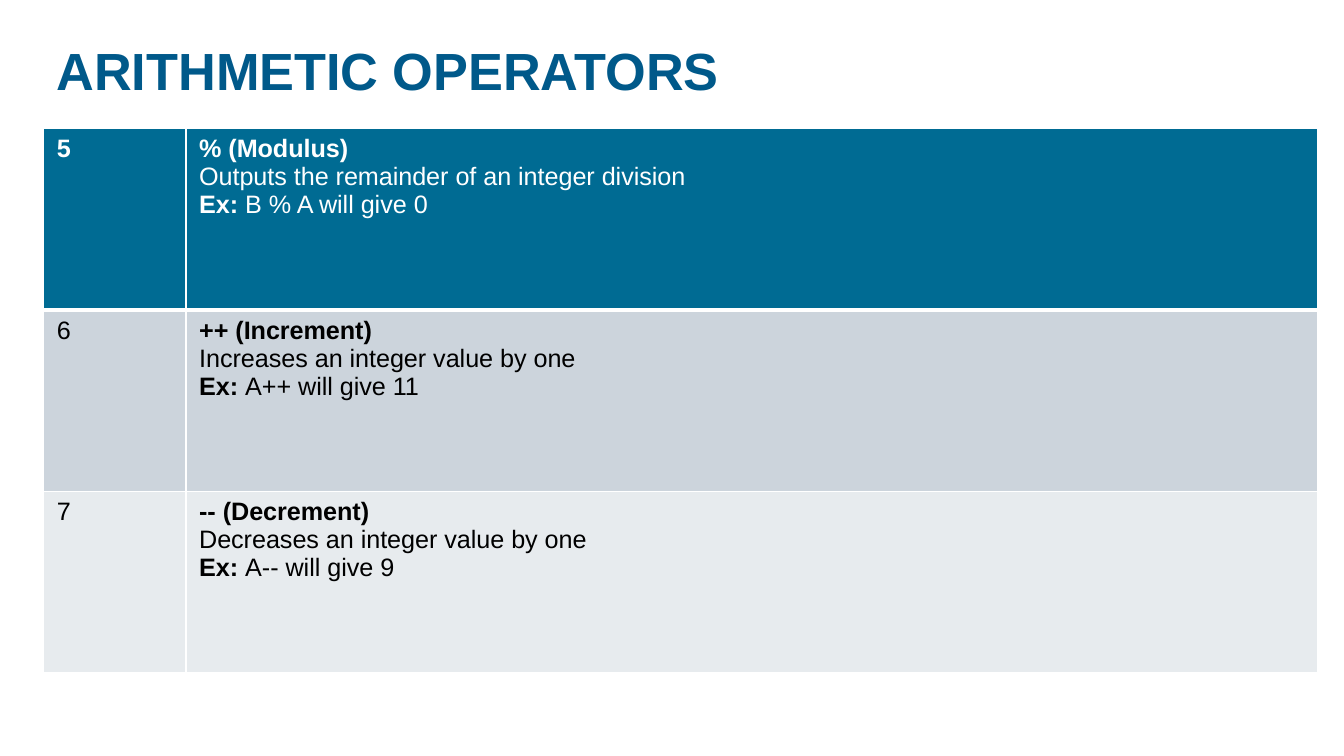
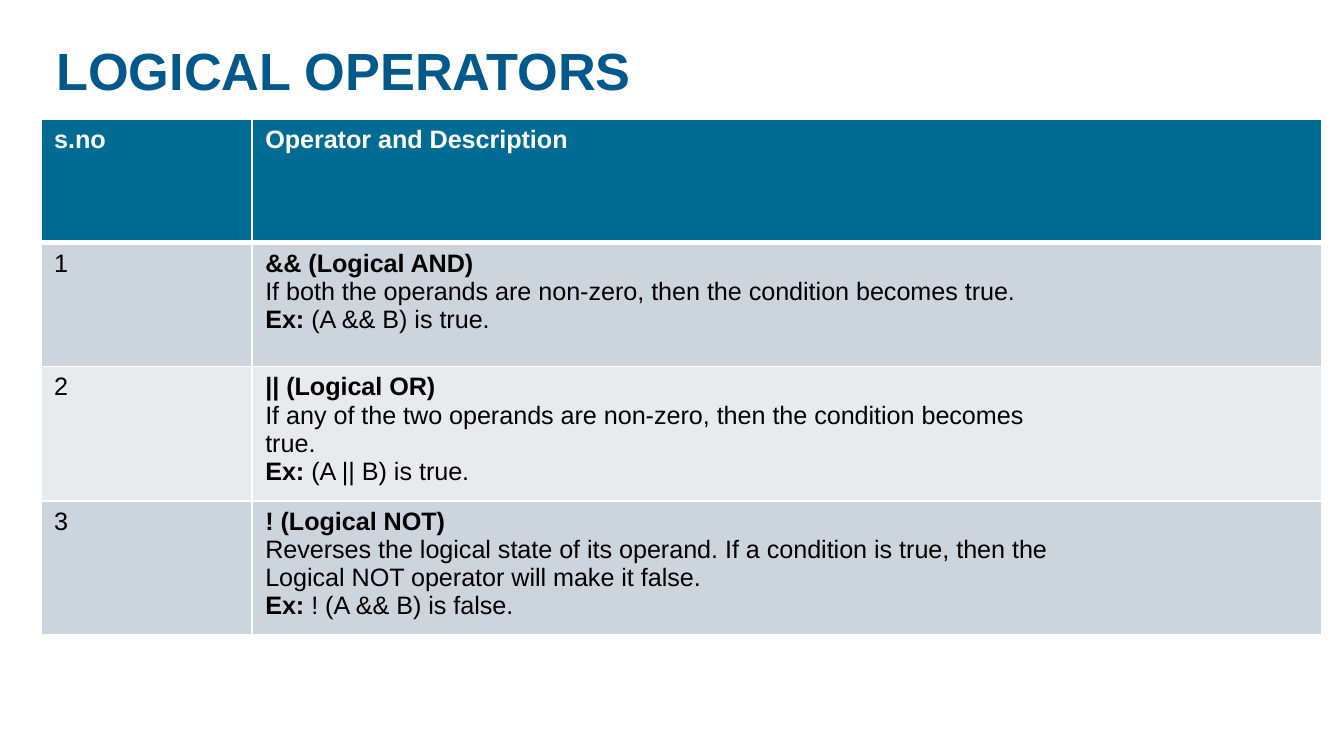
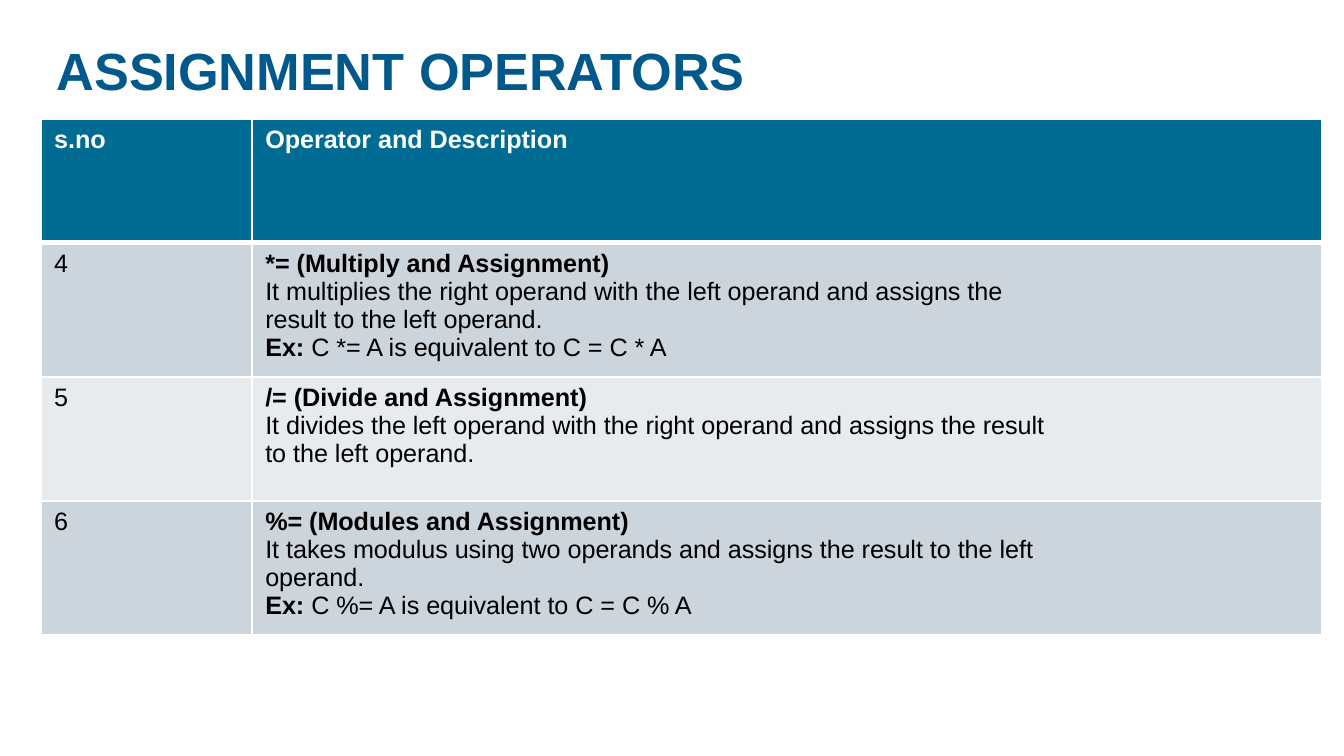
from lxml import etree
from pptx import Presentation
from pptx import util as u
from pptx.dml.color import RGBColor
from pptx.enum import text as t
from pptx.oxml import ns

FONT = "Arial"
WHITE = RGBColor(0xFF, 0xFF, 0xFF)
BLACK = RGBColor(0, 0, 0)
NAVY = RGBColor(0x00, 0x59, 0x8A)
TEAL = RGBColor(0x00, 0x6B, 0x93)
BANDS = RGBColor(0xE7, 0xEB, 0xEE), RGBColor(0xCC, 0xD4, 0xDC)

MARK = "Ex: "
HEAD = ("s.no", ["Operator and Description"])

# Boxes in cm: left, top, column widths, row height
WIDE = (0.82, 2.43, (2.69, 21.39), 3.43)
LOW = (0.77, 2.25, (3.99, 20.22), 2.34)

SLIDES = [
    ("ARITHMETIC OPERATORS", WIDE, [
        ("5", ["% (Modulus)",
               "Outputs the remainder of an integer division",
               "Ex: B % A will give 0"]),
        ("6", ["++ (Increment)",
               "Increases an integer value by one",
               "Ex: A++ will give 11"]),
        ("7", ["-- (Decrement)",
               "Decreases an integer value by one",
               "Ex: A-- will give 9"]),
    ]),
    ("LOGICAL OPERATORS", LOW, [
        HEAD,
        ("1", ["&& (Logical AND)",
               "If both the operands are non-zero, then the condition becomes true.",
               "Ex: (A && B) is true."]),
        ("2", ["|| (Logical OR)",
               "If any of the two operands are non-zero, then the condition becomes",
               "true.",
               "Ex: (A || B) is true."]),
        ("3", ["! (Logical NOT)",
               "Reverses the logical state of its operand. If a condition is true, then the",
               "Logical NOT operator will make it false.",
               "Ex: ! (A && B) is false."]),
    ]),
    ("ASSIGNMENT OPERATORS", LOW, [
        HEAD,
        ("4", ["*= (Multiply and Assignment)",
               "It multiplies the right operand with the left operand and assigns the",
               "result to the left operand.",
               "Ex: C *= A is equivalent to C = C * A"]),
        ("5", ["/= (Divide and Assignment)",
               "It divides the left operand with the right operand and assigns the result",
               "to the left operand."]),
        ("6", ["%= (Modules and Assignment)",
               "It takes modulus using two operands and assigns the result to the left",
               "operand.",
               "Ex: C %= A is equivalent to C = C % A"]),
    ]),
]


def write(para, text, size=13.5, color=BLACK, bold=False):
    run = para.add_run()
    run.text = text
    font = run.font
    font.name, font.size, font.bold = FONT, u.Pt(size), bold
    font.color.rgb = color


def add_title(slide, text):
    box = slide.shapes.add_textbox(u.Cm(0.82), u.Cm(0.5), u.Cm(23.82), u.Cm(1.62))
    frame = box.text_frame
    frame.word_wrap = True
    frame.vertical_anchor = t.MSO_ANCHOR.MIDDLE
    write(frame.paragraphs[0], text, size=28, color=NAVY, bold=True)


def edge(cell, top, bottom):
    """Draw white borders, with the given top and bottom widths in points."""
    props = cell._tc.get_or_add_tcPr()
    for side, width in zip("LRTB", (1, 1, top, bottom)):
        line = etree.SubElement(props, ns.qn(f"a:ln{side}"), w=str(u.Pt(width)))
        fill = etree.SubElement(line, ns.qn("a:solidFill"))
        etree.SubElement(fill, ns.qn("a:srgbClr"), val=str(WHITE))


def describe(frame, lines, color):
    """Write the operator in bold, then its meaning and its example."""
    for i, line in enumerate(lines):
        para = frame.add_paragraph() if i else frame.paragraphs[0]
        if line.startswith(MARK):
            write(para, MARK, color=color, bold=True)
            line = line.removeprefix(MARK)
        write(para, line, color=color, bold=i == 0)


def add_grid(slide, box, rows):
    left, top, widths, high = box
    grid = slide.shapes.add_table(
        len(rows), len(widths), u.Cm(left), u.Cm(top),
        u.Cm(sum(widths)), u.Cm(high * len(rows))).table
    grid.first_row = grid.horz_banding = False
    for col, width in zip(grid.columns, widths):
        col.width = u.Cm(width)
    for r, (number, lines) in enumerate(rows):
        grid.rows[r].height = u.Cm(high)
        first = r == 0
        color = WHITE if first else BLACK
        cells = grid.cell(r, 0), grid.cell(r, 1)
        for cell in cells:
            edge(cell, top=3 if r == 1 else 1, bottom=3 if first else 1)
            cell.fill.solid()
            cell.fill.fore_color.rgb = TEAL if first else BANDS[r % 2]
        write(cells[0].text_frame.paragraphs[0], number, color=color, bold=first)
        describe(cells[1].text_frame, lines, color)


def main():
    deck = Presentation()
    deck.slide_width, deck.slide_height = u.Cm(25.4), u.Cm(14.29)
    for title, box, rows in SLIDES:
        slide = deck.slides.add_slide(deck.slide_layouts[6])
        add_title(slide, title)
        add_grid(slide, box, rows)
    deck.save("out.pptx")


if __name__ == "__main__":
    main()
